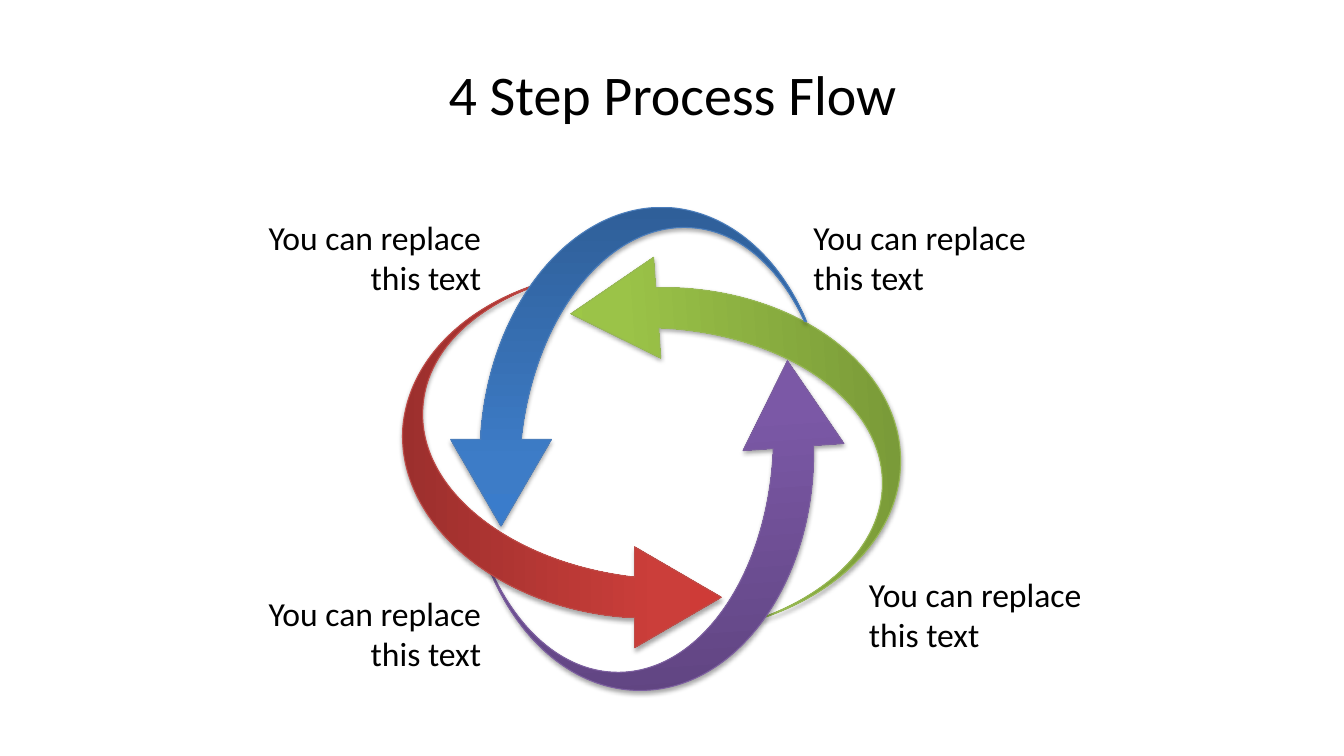
"""Build a four-step process flow slide with circling arrows."""
from copy import deepcopy
from dataclasses import dataclass
from math import cos, radians, sin

from lxml import etree
from pptx import Presentation
from pptx.dml.color import RGBColor
from pptx.enum.text import MSO_ANCHOR, MSO_AUTO_SIZE, PP_ALIGN
from pptx.oxml.ns import qn
from pptx.shapes.autoshape import Shape
from pptx.slide import Slide
from pptx.text.text import TextFrame
from pptx.util import Inches, Pt

LEFT, RIGHT, CENTER = PP_ALIGN.LEFT, PP_ALIGN.RIGHT, PP_ALIGN.CENTER
MIDDLE = MSO_ANCHOR.MIDDLE
GROW = MSO_AUTO_SIZE.SHAPE_TO_FIT_TEXT
TITLE_ONLY = 5
COLUMNS, ROWS = 1333, 750
CELL = Inches(7.5) // ROWS
FONT, BLACK = "Calibri", "000000"
LABEL = "You can replace this text"
STOPS = (0, 0.8, 1)

Point = tuple[int, int]
Box = tuple[int, int, int, int]


@dataclass
class Step:
    """One arrow (points are lines, six numbers are curves) and its label."""
    outline: list[tuple[int, ...]]
    center: Point
    rotation: int
    colors: tuple[str, str, str]
    angle: int
    line: str
    label_box: Box
    align: PP_ALIGN


STEPS = [
    Step([(566, 311), (648, 255), (650, 285), (653, 285, 655, 285, 657, 285),
          (787, 285, 893, 362, 893, 457), (893, 531, 829, 594, 739, 618),
          (819, 594, 875, 541, 875, 479), (875, 397, 777, 330, 653, 325),
          (655, 355)],
         (733, 434), 266, ("779737", "9BC348", "9DC746"), 90, "98B955",
         (852, 564, 256, 91), LEFT),
    Step([(781, 358), (837, 440), (807, 442), (807, 445, 807, 447, 807, 449),
          (807, 579, 730, 685, 635, 685), (561, 685, 498, 621, 474, 531),
          (498, 611, 551, 667, 613, 667), (695, 667, 762, 569, 767, 445),
          (737, 447)],
         (658, 525), 356, ("5F4480", "7B58A6", "7C57A8"), 90, "7D60A0",
         (233, 583, 254, 91), RIGHT),
    Step([(716, 593), (630, 643), (630, 613), (628, 613, 626, 613, 623, 613),
          (494, 604, 394, 519, 400, 425), (406, 351, 474, 292, 566, 274),
          (484, 293, 424, 342, 420, 404), (414, 486, 507, 559, 630, 573),
          (630, 543)],
         (558, 458), 270, ("9C2F2D", "CB3E3A", "CE3B37"), 270, "BF4C48",
         (233, 210, 254, 91), RIGHT),
    Step([(648, 206), (653, 206, 659, 206, 665, 206),
          (724, 211, 773, 255, 800, 319), (798, 319),
          (773, 265, 733, 229, 686, 226), (604, 220, 530, 313, 517, 436),
          (547, 436), (497, 522), (447, 436), (477, 436),
          (477, 434, 477, 432, 477, 429), (486, 308, 560, 212, 648, 206)],
         (624, 364), 0, ("2F5F99", "3D7CC7", "3A7CCB"), 270, "4B7EBC",
         (797, 210, 277, 91), LEFT),
]


def rgb(value: str) -> RGBColor:
    """Turn a hex string into a colour."""
    return RGBColor.from_string(value)


def turn_back(x: int, y: int, step: Step) -> Point:
    """Give a point in EMU as it lies before the arrow is rotated."""
    (cx, cy), a = step.center, radians(step.rotation)
    dx, dy = x - cx, y - cy
    return (round((cx + dx * cos(a) + dy * sin(a)) * CELL),
            round((cy - dx * sin(a) + dy * cos(a)) * CELL))


def build_outline(s: Slide, step: Step) -> Shape:
    """Build the outline from its corners, then bend the curved parts."""
    parts = [[turn_back(*part[i:i + 2], step) for i in range(0, len(part), 2)]
             for part in step.outline]
    corners = [part[-1] for part in parts]
    builder = s.shapes.build_freeform(*corners[0], scale=1.0)
    builder.add_line_segments(corners[1:], close=True)
    sp = builder.convert_to_shape()
    left, top = sp.left, sp.top
    segments = list(sp.element.iter(qn("a:lnTo")))
    for segment, part in zip(segments, parts[1:]):
        if len(part) == 3:
            segment.tag = qn("a:cubicBezTo")
            segment.clear()
            for x, y in part:
                etree.SubElement(segment, qn("a:pt"), x=str(x - left), y=str(y - top))
    sp.rotation = step.rotation
    return sp


def add_arrow(s: Slide, step: Step) -> None:
    """Draw a curved arrow with a gradient and a soft shadow."""
    sp = build_outline(s, step)
    sp.fill.gradient()
    sp.fill.gradient_angle = step.angle
    stop_list = sp.element.spPr.find(f".//{qn('a:gsLst')}")
    stop_list.append(deepcopy(stop_list[-1]))
    for stop, position, color in zip(sp.fill.gradient_stops, STOPS, step.colors):
        stop.position = position
        stop.color.rgb = rgb(color)
    sp.line.color.rgb = rgb(step.line)
    sp.line.width = Pt(0.75)
    sp.shadow.inherit = False
    effects = sp.element.spPr.find(qn("a:effectLst"))
    shadow = etree.SubElement(effects, qn("a:outerShdw"), blurRad=str(Pt(3.1)),
                              dist=str(Pt(1.8)), dir="5400000", rotWithShape="0")
    color = etree.SubElement(shadow, qn("a:srgbClr"), val=BLACK)
    etree.SubElement(color, qn("a:alpha"), val="35000")


def write(tf: TextFrame, text: str, size: int, align: PP_ALIGN) -> None:
    """Write one run of text into a frame."""
    tf.word_wrap = True
    p = tf.paragraphs[0]
    p.alignment = align
    r = p.add_run()
    r.text = text
    r.font.name, r.font.size = FONT, Pt(size)
    r.font.color.rgb = rgb(BLACK)


def add_label(s: Slide, step: Step) -> None:
    """Place the text beside an arrow."""
    tf = s.shapes.add_textbox(*(v * CELL for v in step.label_box)).text_frame
    write(tf, LABEL, 24, step.align)
    tf.auto_size = GROW


def add_title(s: Slide, text: str) -> None:
    """Fill and place the title."""
    title = s.shapes.title
    title.left, title.top, title.width, title.height = (
        v * CELL for v in (67, 30, 1200, 125))
    title.text_frame.vertical_anchor = MIDDLE
    write(title.text_frame, text, 40, CENTER)


def main() -> None:
    """Build and save the slide."""
    prs = Presentation()
    prs.slide_width, prs.slide_height = COLUMNS * CELL, ROWS * CELL
    s = prs.slides.add_slide(prs.slide_layouts[TITLE_ONLY])
    add_title(s, "4 Step Process Flow")
    for step in STEPS:
        add_arrow(s, step)
        add_label(s, step)
    prs.save("out.pptx")


if __name__ == "__main__":
    main()
